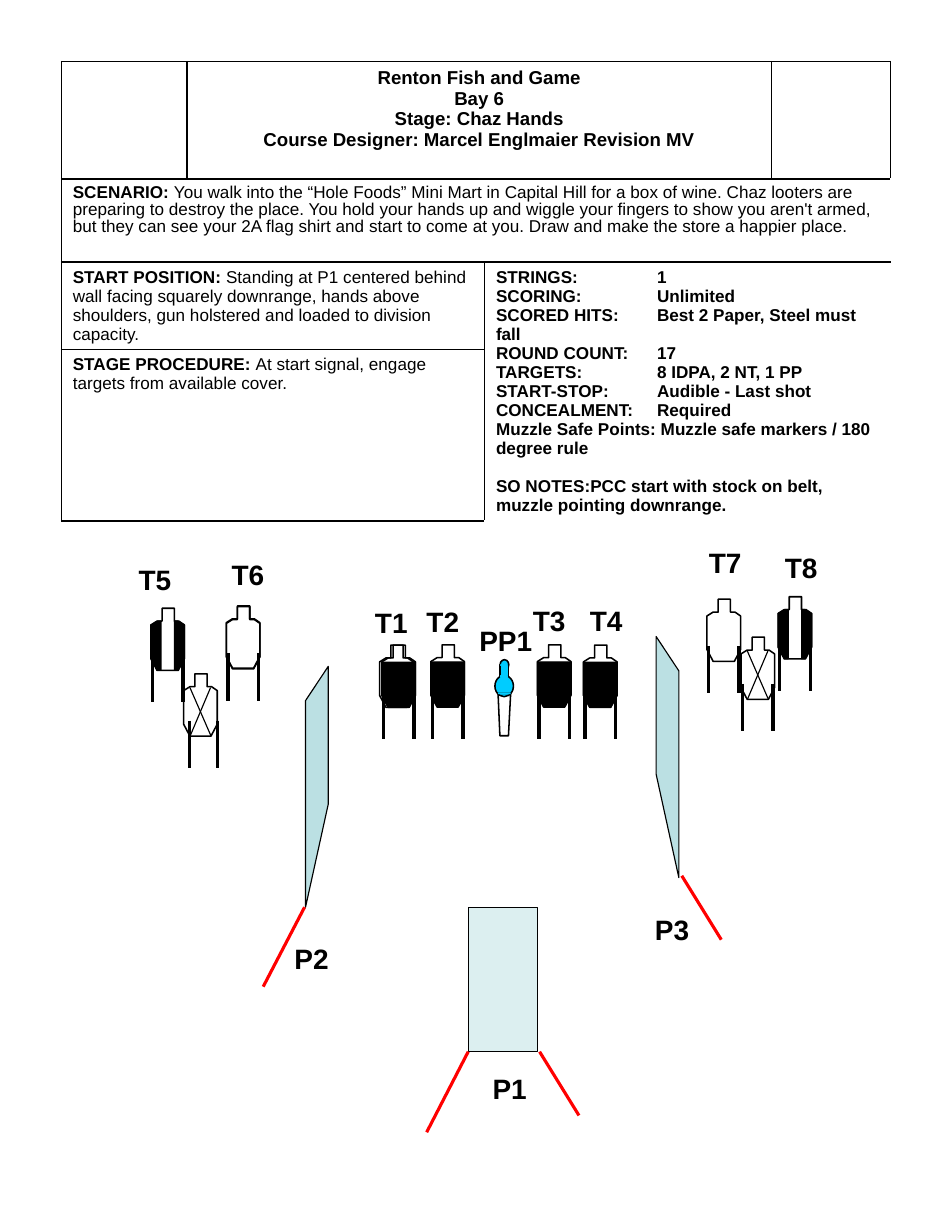
from lxml import etree
from pptx import Presentation
from pptx.dml.color import RGBColor
from pptx.enum.shapes import MSO_CONNECTOR, MSO_SHAPE
from pptx.enum.text import PP_ALIGN
from pptx.oxml.ns import qn
from pptx.util import Pt

STRAIGHT = MSO_CONNECTOR.STRAIGHT
RECTANGLE, OVAL = MSO_SHAPE.RECTANGLE, MSO_SHAPE.OVAL
CENTER = PP_ALIGN.CENTER

BLACK = RGBColor(0x00, 0x00, 0x00)
RED = RGBColor(0xFF, 0x00, 0x00)
WALL = RGBColor(0xBB, 0xE0, 0xE3)
STEEL = RGBColor(0x00, 0xCC, 0xFF)

SILHOUETTE = [(7.2, 0), (15.1, 0), (15.1, 8.3), (18, 8.3), (21.6, 10.8), (21.6, 32.4),
              (17.6, 40), (4, 40), (0, 32.4), (0, 10.8), (4, 8.3), (7.2, 8.3)]
LOWER = [(0, 11), (21.6, 11), (21.6, 32.4), (17.4, 40), (4.2, 40), (0, 32.4)]
RIGHT = [(15.1, 8.3), (15.1, 40), (17.4, 40), (21.6, 32.4), (21.6, 10.8), (17.4, 8.3)]
LEFT = [(21.6 - x, y) for x, y in RIGHT]
SIDES = [RIGHT, LEFT]

TARGETS = [
    ("T1", (234, 385.9), (245.5, 414.7), [LOWER]),
    ("T2", (267.1, 385.2), (277, 414.5), [LOWER]),
    ("T3", (335.5, 384.5), (345.5, 414.5), [LOWER]),
    ("T4", (372.2, 384.5), (375.1, 414.7), [LOWER]),
    ("T5", (82.1, 357.8), (97, 391), SIDES),
    ("T6", (141.8, 355), (145.5, 390), []),
    ("T7", (448.6, 347), (454.5, 385.2), []),
    ("T8", (497.5, 350.6), (500.2, 383.6), SIDES),
]
NON_THREATS = [((118.1, 433.2), (3.6, 21.6)), ((476.4, 409.6), (1, 20.7))]
POSITIONS = [("PP1", 301, 397.4, 51.1), ("P1", 309.6, 685.4, 40.3),
             ("P2", 182.2, 601.9, 40.3), ("P3", 414, 583.2, 40.3)]
SIDE_WALLS = [
    [(211, 517), (196.4, 583.2), (196.4, 450.4), (211, 428.4)],
    [(421.8, 497.7), (436.4, 564.2), (436.4, 431.3), (421.8, 409.2)],
]
FAULT_LINES = [((372.2, 717.1), (346.9, 676.1)), ((301, 676.1), (274.3, 727.9)),
               ((195.8, 583.2), (169.2, 634.3)), ((463.7, 604.1), (438.3, 563))]

COLUMNS = [80.6, 191.5, 184.3, 76.4]
ROWS = [75.6, 53.3, 55.4, 110.2]
HEADER = "\v".join(["Renton Fish and Game", "Bay 6", "Stage: Chaz Hands",
                    "Course Designer: Marcel Englmaier Revision MV"])
SCENARIO = ("You walk into the “Hole Foods” Mini Mart in Capital Hill for a box of wine. "
            "Chaz looters are preparing to destroy the place. You hold your hands up and "
            "wiggle your fingers to show you aren't armed, but they can see your 2A flag "
            "shirt and start to come at you. Draw and make the store a happier place.")
START = ("Standing at P1 centered behind wall facing squarely downrange, hands above "
         "shoulders, gun holstered and loaded to division capacity.")
PROCEDURE = "At start signal, engage targets from available cover."
RULES = [
    "STRINGS:\t1",
    "SCORING:\tUnlimited",
    "SCORED HITS:\tBest 2 Paper, Steel must fall",
    "ROUND COUNT:\t17",
    "TARGETS:\t8 IDPA, 2 NT, 1 PP",
    "START-STOP:\tAudible - Last shot",
    "CONCEALMENT:\tRequired",
    "Muzzle Safe Points: Muzzle safe markers / 180 degree rule",
    "SO NOTES:PCC start with stock on belt, muzzle pointing downrange.",
]


class StageSheet:
    font = "Arial"

    def __init__(self, slide):
        self.slide = slide
        self.shapes = slide.shapes

    def style_run(self, run, size, bold=True):
        run.font.name, run.font.size, run.font.bold = self.font, Pt(size), bold
        run.font.color.rgb = BLACK

    def style_shape(self, shape, fill, line, width):
        shape.shadow.inherit = False
        if fill is None:
            shape.fill.background()
        else:
            shape.fill.solid()
            shape.fill.fore_color.rgb = fill
        if line is None:
            shape.line.fill.background()
        else:
            shape.line.color.rgb = line
            shape.line.width = Pt(width)
        return shape

    def preset(self, kind, box, fill, line=BLACK, width=1):
        shape = self.shapes.add_shape(kind, *map(Pt, box))
        return self.style_shape(shape, fill, line, width)

    def outline(self, points, origin=(0, 0), fill=None, width=1):
        corners = [(Pt(origin[0] + x), Pt(origin[1] + y)) for x, y in points]
        builder = self.shapes.build_freeform(*corners[0], scale=1.0)
        builder.add_line_segments(corners[1:], close=True)
        return self.style_shape(builder.convert_to_shape(), fill, BLACK, width)

    def line(self, start, end, color=BLACK, width=2.25):
        connector = self.shapes.add_connector(STRAIGHT, *map(Pt, (*start, *end)))
        connector.line.color.rgb = color
        connector.line.width = Pt(width)
        etree.SubElement(connector._element.spPr, qn("a:effectLst"))

    def label(self, text, x, y, width=40.3):
        frame = self.shapes.add_textbox(Pt(x), Pt(y), Pt(width), Pt(28.8)).text_frame
        frame.word_wrap = True
        frame.text = text
        self.style_run(frame.paragraphs[0].runs[0], 18)

    def target(self, x, y, covers, legs=(1, 20.7)):
        for leg in legs:
            self.line((x + leg, y + 30), (x + leg, y + 60.4))
        self.outline(SILHOUETTE, (x, y))
        for cover in covers:
            self.outline(cover, (x, y), BLACK, 0)

    def non_threat(self, x, y, legs):
        self.target(x, y, [], legs)
        for top, bottom in ((17.3, 4.2), (4, 17.5)):
            self.line((x + top, y + 8.8), (x + bottom, y + 39.8), width=0.75)

    def popper(self):
        self.preset(OVAL, (321.5, 424.1, 5.6, 6.5), STEEL)
        self.preset(OVAL, (318.2, 434.2, 11.9, 13.7), STEEL)
        self.outline([(320.2, 445.7), (328.3, 445.7), (326.9, 473), (321.4, 473)])
        self.preset(RECTANGLE, (321.4, 427.4, 5.6, 7.2), STEEL)
        self.preset(RECTANGLE, (320.2, 445.2, 8.1, 1), STEEL, None)
        for y, height in ((434.3, 1.2), (427.4, 0.5)):
            self.preset(RECTANGLE, (322, y, 4.4, height), STEEL, STEEL)

    def grid(self):
        table = self.shapes.add_table(len(ROWS), len(COLUMNS), Pt(39.6), Pt(39.6),
                                      Pt(sum(COLUMNS)), Pt(sum(ROWS))).table
        table.first_row = table.horz_banding = False
        for column, width in zip(table.columns, COLUMNS):
            column.width = Pt(width)
        for row, height in zip(table.rows, ROWS):
            row.height = Pt(height)
        return table

    def area(self, table, top, left, bottom, right):
        origin = table.cell(top, left)
        if (top, left) != (bottom, right):
            origin.merge(table.cell(bottom, right))
        for r in range(top, bottom + 1):
            for c in range(left, right + 1):
                edges = {"lnL": c == left, "lnR": c == right,
                         "lnT": r == top, "lnB": r == bottom}
                self.border(table.cell(r, c), [tag for tag, on in edges.items() if on])
        return origin

    def border(self, cell, tags):
        props = cell._tc.get_or_add_tcPr()
        for tag in tags:
            edge = etree.SubElement(props, qn("a:" + tag), w=str(Pt(1)))
            fill = etree.SubElement(edge, qn("a:solidFill"))
            etree.SubElement(fill, qn("a:srgbClr"), val=str(BLACK))
        cell.fill.background()

    def passage(self, cell, heading, body, spacing=1.0):
        paragraph = cell.text_frame.paragraphs[0]
        paragraph.line_spacing = spacing
        for text, bold in ((heading + " ", True), (body, False)):
            run = paragraph.add_run()
            run.text = text
            self.style_run(run, 11, bold)

    def rules(self, cell, lines):
        cell.text_frame.text = "\n".join(lines)
        for paragraph in cell.text_frame.paragraphs:
            tabs = etree.SubElement(paragraph._p.get_or_add_pPr(), qn("a:tabLst"))
            etree.SubElement(tabs, qn("a:tab"), pos=str(Pt(103.5)), algn="l")
            for run in paragraph.runs:
                self.style_run(run, 11)
        paragraph.space_before = Pt(12.3)

    def header(self, cell, text):
        paragraph = cell.text_frame.paragraphs[0]
        paragraph.text = text
        paragraph.alignment = CENTER
        for run in paragraph.runs:
            self.style_run(run, 12)


def main():
    deck = Presentation()
    deck.slide_width, deck.slide_height = Pt(612), Pt(792)
    sheet = StageSheet(deck.slides.add_slide(deck.slide_layouts[6]))

    briefing = sheet.grid()
    for corner in (0, 3):
        sheet.area(briefing, 0, corner, 0, corner)
    sheet.header(sheet.area(briefing, 0, 1, 0, 2), HEADER)
    sheet.passage(sheet.area(briefing, 1, 0, 1, 3), "SCENARIO:", SCENARIO, 0.9)
    sheet.passage(sheet.area(briefing, 2, 0, 2, 1), "START POSITION:", START)
    sheet.rules(sheet.area(briefing, 2, 2, 3, 3), RULES)
    sheet.passage(sheet.area(briefing, 3, 0, 3, 1), "STAGE PROCEDURE:", PROCEDURE)

    for name, label_at, target_at, covers in TARGETS:
        sheet.label(name, *label_at)
        sheet.target(*target_at, covers)
    for second_outline in ((244.1, 414.7), (145.5, 389.5)):
        sheet.outline(SILHOUETTE, second_outline)
    for place, legs in NON_THREATS:
        sheet.non_threat(*place, legs)
    sheet.popper()

    front_wall = sheet.preset(RECTANGLE, (301, 583.2, 44.6, 92.9), WALL, width=0.75)
    tint = front_wall._element.spPr.find(qn("a:solidFill"))[0]
    etree.SubElement(tint, qn("a:alpha"), val="51000")
    for wall in SIDE_WALLS:
        sheet.outline(wall, fill=WALL, width=0.75)
    for start, end in FAULT_LINES:
        sheet.line(start, end, RED, 2)
    for position in POSITIONS:
        sheet.label(*position)

    deck.save("out.pptx")


if __name__ == "__main__":
    main()
